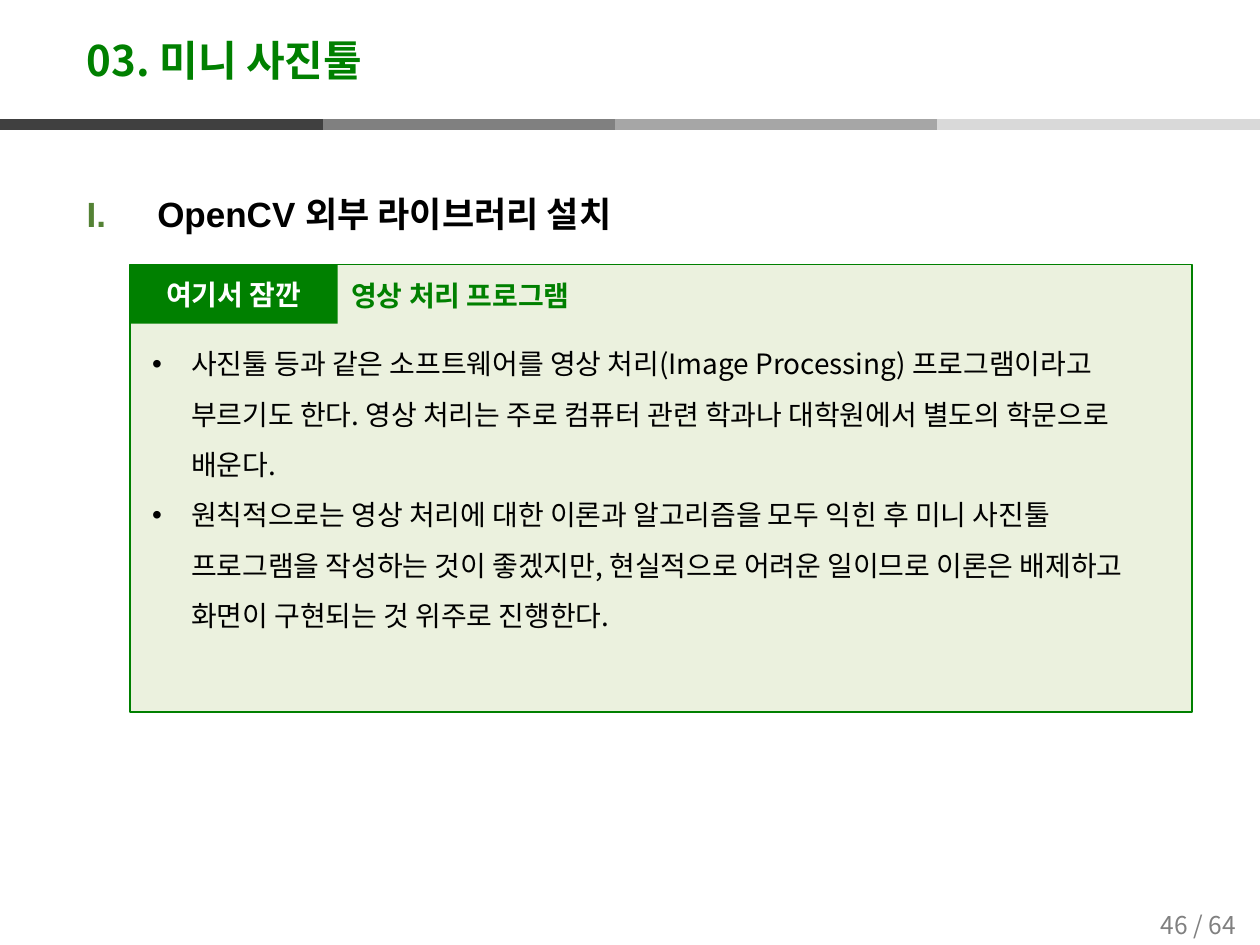
from lxml import etree
from pptx import Presentation
from pptx.dml.color import RGBColor
from pptx.enum import shapes, text
from pptx.oxml import ns
from pptx.util import Inches, Pt

GREEN = RGBColor(0x00, 0x80, 0x00)
OLIVE = RGBColor(0x54, 0x82, 0x35)
PALE_GREEN = RGBColor(0xEB, 0xF1, 0xDE)
BLACK = RGBColor(0x00, 0x00, 0x00)
WHITE = RGBColor(0xFF, 0xFF, 0xFF)
DARK, GRAY, SILVER, LIGHT = (
    RGBColor(shade, shade, shade) for shade in (0x40, 0x80, 0xA6, 0xD9))
KOREAN_FONT = "Noto Sans CJK KR"
BAND_LENGTH = 2.56

NOTES = [
    "사진툴 등과 같은 소프트웨어를 영상 처리(Image Processing) 프로그램이라고 부르기도 한다. "
    "영상 처리는 주로 컴퓨터 관련 학과나 대학원에서 별도의 학문으로 배운다.",
    "원칙적으로는 영상 처리에 대한 이론과 알고리즘을 모두 익힌 후 미니 사진툴 프로그램을 작성하는 것이 "
    "좋겠지만, 현실적으로 어려운 일이므로 이론은 배제하고 화면이 구현되는 것 위주로 진행한다.",
]


def add_band(page, left, color):
    line = page.shapes.add_connector(
        shapes.MSO_CONNECTOR.STRAIGHT, Inches(left), Inches(0.99),
        Inches(left + BAND_LENGTH), Inches(0.99))
    line.line.color.rgb = color
    line.line.width = Pt(6)
    etree.SubElement(line._element.spPr, ns.qn("a:effectLst"))


def add_panel(page, area, fill, outline=None):
    panel = page.shapes.add_shape(
        shapes.MSO_SHAPE.RECTANGLE, *map(Inches, area))
    panel.shadow.inherit = False
    panel.fill.solid()
    panel.fill.fore_color.rgb = fill
    if outline is None:
        panel.line.fill.background()
    else:
        panel.line.color.rgb = outline
        panel.line.width = Pt(1)
    return panel


def add_text_box(page, area, wrap=True, anchor=text.MSO_ANCHOR.TOP):
    box = page.shapes.add_textbox(*map(Inches, area))
    box.text_frame.word_wrap = wrap
    box.text_frame.vertical_anchor = anchor
    return box


def write(para, words, size, color, bold=False, font=KOREAN_FONT):
    span = para.add_run()
    span.text = words
    span.font.size = Pt(size)
    span.font.bold = bold
    span.font.color.rgb = color
    span.font.name = font
    east_asian = etree.Element(ns.qn("a:ea"), typeface=KOREAN_FONT)
    span.font._element.find(ns.qn("a:latin")).addnext(east_asian)


def set_marker(para, indent, tag, color=None, **marker):
    """Give the paragraph a hanging bullet or number."""
    properties = para._p.get_or_add_pPr()
    properties.set("marL", str(Inches(indent)))
    properties.set("indent", str(-Inches(indent)))
    if color is not None:
        holder = etree.SubElement(properties, ns.qn("a:buClr"))
        etree.SubElement(holder, ns.qn("a:srgbClr"), val=str(color))
    etree.SubElement(properties, ns.qn("a:buFont"), typeface="Arial")
    etree.SubElement(properties, ns.qn(tag), **marker)
    para.line_spacing = 1.5


def add_header(page):
    for index, color in enumerate((GRAY, SILVER, LIGHT)):
        add_band(page, 2.32 + index * BAND_LENGTH, color)
    add_band(page, 0, DARK)
    title = add_text_box(page, (0.59, 0.2, 8.74, 0.6),
                         anchor=text.MSO_ANCHOR.MIDDLE)
    para = title.text_frame.paragraphs[0]
    para.line_spacing = 0.9
    write(para, "03. 미니 사진툴", 24, GREEN, bold=True)


def add_page_number(page):
    box = add_text_box(page, (9.02, 7.14, 0.98, 0.39),
                       anchor=text.MSO_ANCHOR.MIDDLE)
    para = box.text_frame.paragraphs[0]
    para.alignment = text.PP_ALIGN.CENTER
    write(para, "46 / 64", 14, GRAY)


def add_section_heading(page):
    box = add_text_box(page, (0.59, 1.31, 8.9, 6.19))
    para = box.text_frame.paragraphs[0]
    set_marker(para, 0.56, "a:buAutoNum", OLIVE, type="romanUcPeriod")
    write(para, "OpenCV 외부 라이브러리 설치", 20, BLACK, bold=True, font="Arial")


def add_note_panel(page):
    add_panel(page, (1.03, 2.1, 8.43, 3.55), PALE_GREEN, GREEN)
    heading = add_text_box(page, (2.69, 2.16, 2.15, 0.37), wrap=False)
    write(heading.text_frame.paragraphs[0], "영상 처리 프로그램", 16, GREEN,
          bold=True)

    tab = add_panel(page, (1.03, 2.1, 1.65, 0.47), GREEN)
    tab.text_frame.vertical_anchor = text.MSO_ANCHOR.MIDDLE
    label = tab.text_frame.paragraphs[0]
    label.alignment = text.PP_ALIGN.CENTER
    write(label, "여기서 잠깐", 16, WHITE, bold=True)

    frame = add_text_box(page, (1.11, 2.57, 8.27, 2.47)).text_frame
    for index, note in enumerate(NOTES):
        para = frame.add_paragraph() if index else frame.paragraphs[0]
        set_marker(para, 0.31, "a:buChar", char="•")
        write(para, note, 16, BLACK)


def main():
    deck = Presentation()
    deck.slide_width, deck.slide_height = Inches(10), Inches(7.5)
    page = deck.slides.add_slide(deck.slide_layouts[6])
    add_header(page)
    add_page_number(page)
    add_section_heading(page)
    add_note_panel(page)
    deck.save("out.pptx")


if __name__ == "__main__":
    main()
